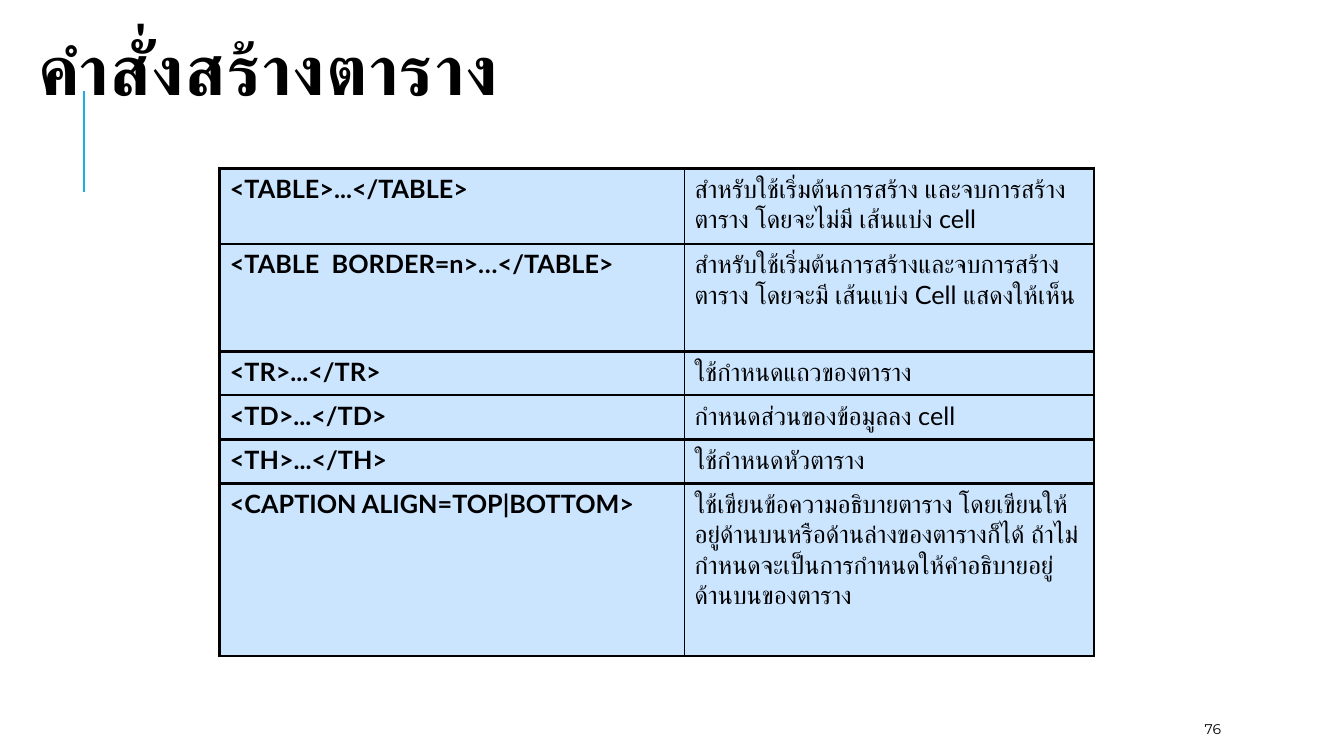
from lxml import etree
from pptx import Presentation
from pptx import util as u
from pptx.dml.color import RGBColor
from pptx.enum import shapes, text
from pptx.oxml import ns

HEADING = "คำสั่งสร้างตาราง"
PAGE = "76"
COMMANDS = [
    ("<TABLE>...</TABLE>",
     "สำหรับใช้เริ่มต้นการสร้าง และจบการสร้างตาราง โดยจะไม่มี เส้นแบ่ง cell", 0.75),
    ("<TABLE  BORDER=n>…</TABLE>",
     "สำหรับใช้เริ่มต้นการสร้างและจบการสร้างตาราง โดยจะมี เส้นแบ่ง Cell แสดงให้เห็น", 1.07),
    ("<TR>...</TR>", "ใช้กำหนดแถวของตาราง", 0.43),
    ("<TD>...</TD>", "กำหนดส่วนของข้อมูลลง cell", 0.44),
    ("<TH>...</TH>", "ใช้กำหนดหัวตาราง", 0.44),
    ("<CAPTION ALIGN=TOP|BOTTOM>",
     "ใช้เขียนข้อความอธิบายตาราง โดยเขียนให้อยู่ด้านบนหรือด้านล่างของตารางก็ได้ "
     "ถ้าไม่กำหนดจะเป็นการกำหนดให้คำอธิบายอยู่ด้านบนของตาราง", 1.71),
]
COLUMNS = (4.61, 4.06)
OUTER, INNER = 2.25, 1

BLACK = RGBColor(0x00, 0x00, 0x00)
ACCENT = RGBColor(0x1C, 0xAD, 0xE4)
PALE_BLUE = RGBColor(0x99, 0xCC, 0xFF)


def add_xml(parent, tag, **attributes):
    return etree.SubElement(parent, ns.qn(tag), attributes)


def style(paragraph, face, size, bold=False):
    for run in paragraph.runs:
        run.font.name = face
        run.font.size = u.Pt(size)
        run.font.bold = bold
        run.font.color.rgb = BLACK
        add_xml(run.font._element, "a:cs", typeface=face)


def add_borders(cell, widths):
    properties = cell._tc.get_or_add_tcPr()
    for index, (side, width) in enumerate(widths.items()):
        border = etree.Element(ns.qn(f"a:ln{side}"), w=str(u.Pt(width)))
        add_xml(add_xml(border, "a:solidFill"), "a:srgbClr", val=str(BLACK))
        properties.insert(index, border)


def fill_cell(cell, words, column):
    cell.text_frame.text = words
    style(cell.text_frame.paragraphs[0], "Lato", 18, bold=column == 0)
    cell.fill.solid()
    cell.fill.fore_color.rgb = PALE_BLUE
    color = cell._tc.tcPr.find(".//" + ns.qn("a:srgbClr"))
    add_xml(color, "a:alpha", val="50000")
    left, right = (OUTER, INNER) if column == 0 else (INNER, OUTER)
    add_borders(cell, {"L": left, "R": right, "T": OUTER, "B": OUTER})


def main():
    deck = Presentation()
    deck.slide_width, deck.slide_height = u.Inches(13.33), u.Inches(7.5)
    slide = deck.slides.add_slide(deck.slide_layouts[5])

    title = slide.shapes.title
    title.left, title.top, title.width, title.height = map(u.Inches, (0.28, 0.25, 11.69, 1))
    title.text_frame.text = HEADING
    title.text_frame.vertical_anchor = text.MSO_ANCHOR.MIDDLE
    heading = title.text_frame.paragraphs[0]
    heading.alignment = text.PP_ALIGN.LEFT
    heading.line_spacing = 0.8
    style(heading, "Arial", 50, bold=True)
    heading.runs[0].font._element.set("spc", "100")

    accent = slide.shapes.add_connector(
        shapes.MSO_CONNECTOR.STRAIGHT, *map(u.Inches, (0.83, 1.9, 0.83, 0.9)))
    accent.line.color.rgb = ACCENT
    accent.line.width = u.Pt(1.5)
    add_xml(accent.element.spPr, "a:effectLst")
    title.element.addprevious(accent.element)

    heights = [height for _, _, height in COMMANDS]
    commands = slide.shapes.add_table(
        len(COMMANDS), len(COLUMNS),
        *map(u.Inches, (2.18, 1.67, sum(COLUMNS), sum(heights)))).table
    commands.first_row = commands.horz_banding = False
    for column, width in zip(commands.columns, COLUMNS):
        column.width = u.Inches(width)
    for row, (command, meaning, height) in zip(commands.rows, COMMANDS):
        row.height = u.Inches(height)
        for column, words in enumerate((command, meaning)):
            fill_cell(row.cells[column], words, column)

    page = slide.shapes.add_textbox(*map(u.Inches, (11.85, 7.08, 1.06, 0.3))).text_frame
    page.word_wrap = True
    page.vertical_anchor = text.MSO_ANCHOR.MIDDLE
    page.text = PAGE
    style(page.paragraphs[0], "Montserrat", 10)

    deck.save("out.pptx")


if __name__ == "__main__":
    main()
